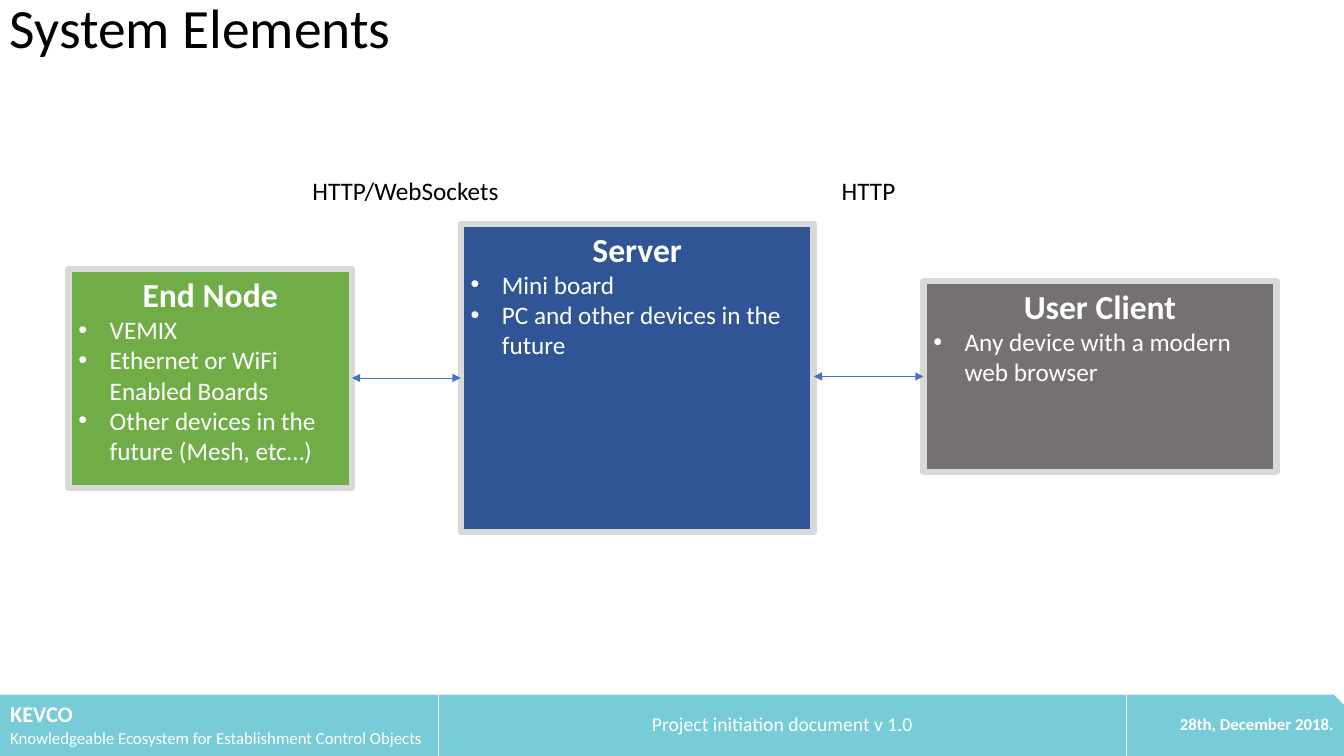
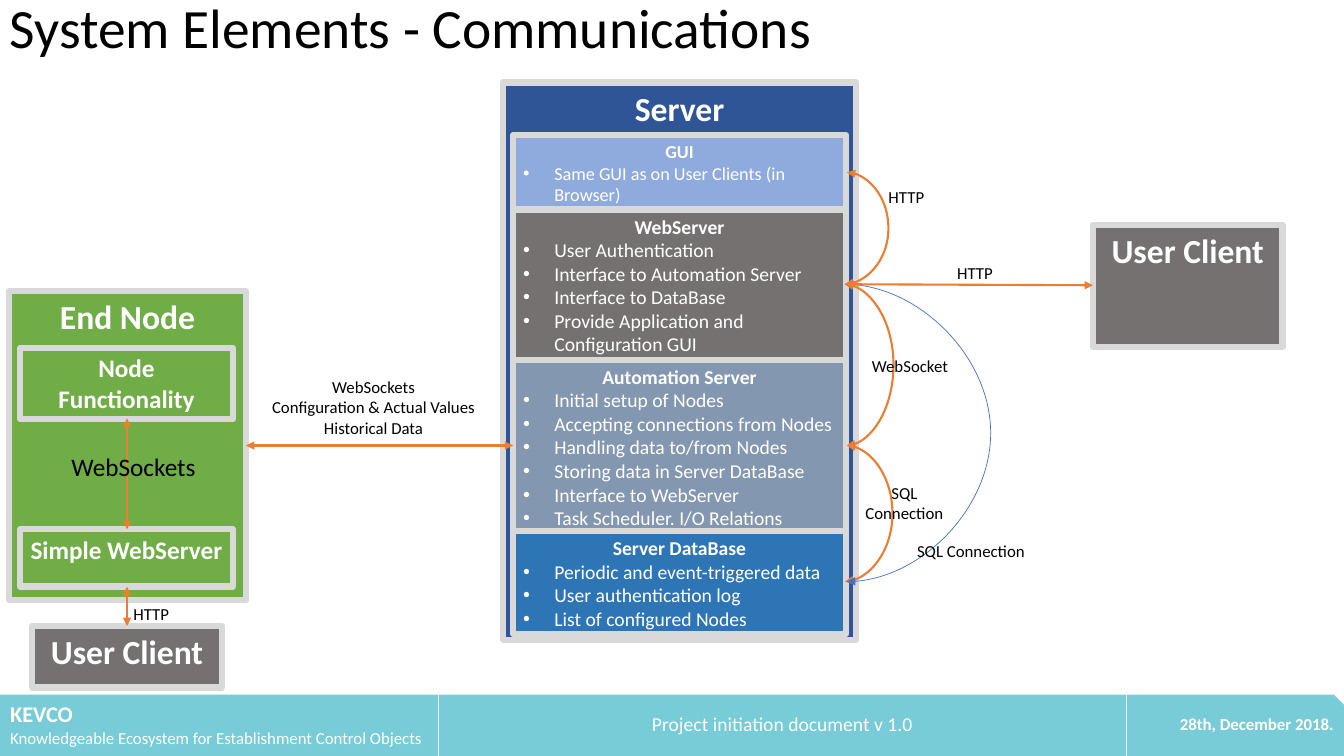
import pptx
import pptx.util
import pptx.dml.color
import pptx.enum.shapes
import pptx.enum.text
import pptx.oxml.ns
from lxml import etree

Inches = pptx.util.Inches
Pt = pptx.util.Pt
RGB = pptx.dml.color.RGBColor
Align = pptx.enum.text.PP_ALIGN
Anchor = pptx.enum.text.MSO_ANCHOR
Fit = pptx.enum.text.MSO_AUTO_SIZE
Shape = pptx.enum.shapes.MSO_SHAPE
Link = pptx.enum.shapes.MSO_CONNECTOR
qn = pptx.oxml.ns.qn

FONT = "Calibri"
WHITE = RGB(0xFF, 0xFF, 0xFF)
BLACK = RGB(0, 0, 0)
EDGE = RGB(0xD9, 0xD9, 0xD9)
TEAL = RGB(0x77, 0xCC, 0xD7)
GREEN = RGB(0x70, 0xAD, 0x47)
NAVY = RGB(0x2F, 0x55, 0x97)
GRAY = RGB(0x76, 0x71, 0x71)
SLATE = RGB(0x84, 0x97, 0xB0)
SKY = RGB(0x8F, 0xAA, 0xDC)
AZURE = RGB(0x2E, 0x75, 0xB6)
BLUE = RGB(0x44, 0x72, 0xC4)
ORANGE = RGB(0xED, 0x7D, 0x31)

WIDE, TALL, BAND = 13.33, 7.5, 0.61
FOOTER = [
    (4.35, Align.LEFT, [
        ("KEVCO", 16, True),
        ("Knowledgeable Ecosystem for Establishment Control Objects", 12, False)]),
    (6.82, Align.CENTER, [("Project initiation document v 1.0", 14, False)]),
    (2.16, Align.RIGHT, [("28th, December 2018.", 12, True)]),
]

PARTS = [
    (0.68, 2.67, 2.81, 2.17, GREEN, "End Node",
     ["VEMIX", "Ethernet or WiFi Enabled Boards", "Other devices in the future (Mesh, etc…)"]),
    (4.57, 2.22, 3.5, 3.06, NAVY, "Server",
     ["Mini board", "PC and other devices in the future"]),
    (9.16, 2.79, 3.5, 1.89, GRAY, "User Client",
     ["Any device with a modern web browser"]),
]
PART_TAGS = [(3, 1.69, 2.07, 0.4, "HTTP/WebSockets"), (8.25, 1.69, 0.74, 0.4, "HTTP")]

CLIENTS = [(10.84, 2.23, 1.88, 1.21), (0.32, 6.21, 1.88, 0.61)]
NODE = (0.09, 2.89, 2.35, 3.06)
NODE_PARTS = [(3.45, 0.71, "Node Functionality"), (5.25, 0.57, "Simple WebServer")]
SERVER = (4.99, 0.82, 3.5, 5.53)
STACK_X, STACK_Y, STACK_W = 5.09, 1.34, 3.3
STACK = [
    (0.74, SKY, 13, "GUI", ["Same GUI as on User Clients (in Browser)"]),
    (1.49, GRAY, 14, "WebServer", [
        "User Authentication", "Interface to Automation Server",
        "Interface to DataBase", "Provide Application and Configuration GUI"]),
    (1.7, SLATE, 14, "Automation Server", [
        "Initial setup of Nodes", "Accepting connections from Nodes",
        "Handling data to/from Nodes", "Storing data in Server DataBase",
        "Interface to WebServer", "Task Scheduler. I/O Relations"]),
    (1.02, AZURE, 14, "Server DataBase", [
        "Periodic and event-triggered data", "User authentication log",
        "List of configured Nodes"]),
]
GUI, WEB, AUTO, DATA = 1.71, 2.82, 4.42, 5.77
CURVES = [
    (WEB, GUI, 8.81, ORANGE, 1.5),
    (WEB, AUTO, 8.86, ORANGE, 1.5),
    (DATA, AUTO, 8.85, ORANGE, 1.5),
    (WEB, DATA, 9.82, BLUE, 0.5),
]
ARROWS = [(2.44, AUTO, 5.09, AUTO), (8.38, WEB, 10.84, 2.83), (1.26, 5.82, 1.26, 6.21)]
TAGS = [
    (2.59, 3.69, 2.23, 0.71, "WebSockets\nConfiguration & Actual Values\nHistorical Data"),
    (8.99, 5.32, 1.28, 0.3, "SQL Connection"),
    (8.48, 4.74, 0.98, 0.5, "SQL\nConnection"),
    (8.54, 3.48, 0.97, 0.3, "WebSocket"),
    (8.71, 1.8, 0.56, 0.3, "HTTP"),
    (9.39, 2.56, 0.56, 0.3, "HTTP"),
    (1.22, 5.94, 0.56, 0.3, "HTTP"),
]


def place(*nums):
    return [Inches(n) for n in nums]


def write(frame, lines):
    for i, (text, size, bold, color, align, dot) in enumerate(lines):
        para = frame.paragraphs[0] if i == 0 else frame.add_paragraph()
        para.text = text
        para.alignment = align
        font = para.font
        font.name, font.size, font.bold = FONT, Pt(size), bold
        font.color.rgb = color
        if dot:
            props = para._p.get_or_add_pPr()
            props.set("marL", str(Inches(0.31)))
            props.set("indent", str(-Inches(0.31)))
            face = etree.Element(qn("a:buFont"), typeface="Arial")
            mark = etree.Element(qn("a:buChar"), char="•")
            props.insert(0, face)
            props.insert(1, mark)


def box(shapes, area, fill, head, items=(), size=24):
    rect = shapes.add_shape(Shape.RECTANGLE, *place(*area))
    rect.shadow.inherit = False
    rect.fill.solid()
    rect.fill.fore_color.rgb = fill
    rect.line.color.rgb = EDGE
    rect.line.width = Pt(4.5)
    frame = rect.text_frame
    frame.word_wrap = True
    frame.vertical_anchor = Anchor.TOP
    lines = [(head, size, True, WHITE, Align.CENTER, False)]
    lines += [(item, min(size, 18), False, WHITE, Align.LEFT, True) for item in items]
    write(frame, lines)


def tag(shapes, x, y, w, h, text, size=12, align=Align.CENTER):
    frame = shapes.add_textbox(*place(x, y, w, h)).text_frame
    frame.word_wrap = False
    frame.auto_size = Fit.SHAPE_TO_FIT_TEXT
    write(frame, [(row, size, False, BLACK, align, False) for row in text.split("\n")])


def arrow(shapes, ends, color=ORANGE, width=1.5, kind=Link.STRAIGHT, bulge=None):
    link = shapes.add_connector(kind, *place(*ends))
    link.line.color.rgb = color
    link.line.width = Pt(width)
    props = link.element.spPr
    line = props.find(qn("a:ln"))
    for end in ("a:headEnd", "a:tailEnd"):
        etree.SubElement(line, qn(end), type="triangle")
    etree.SubElement(props, qn("a:effectLst"))
    if bulge:
        ratio = (bulge - ends[0]) / (ends[2] - ends[0])
        etree.SubElement(props.find(".//" + qn("a:avLst")), qn("a:gd"),
                         name="adj1", fmla=f"val {round(ratio * 100000)}")


def border(cell, sides):
    props = cell._tc.get_or_add_tcPr()
    for i, side in enumerate("LRTB"):
        line = etree.Element(qn("a:ln" + side), w=str(Pt(1)))
        if side in sides:
            fill = etree.SubElement(line, qn("a:solidFill"))
            etree.SubElement(fill, qn("a:srgbClr"), val=str(WHITE))
        else:
            etree.SubElement(line, qn("a:noFill"))
        props.insert(i, line)


def base(deck, title):
    shapes = deck.slides.add_slide(deck.slide_layouts[6]).shapes
    frame = shapes.add_textbox(*place(0, 0, WIDE, BAND)).text_frame
    frame.word_wrap = True
    frame.vertical_anchor = Anchor.MIDDLE
    write(frame, [(title, 39.6, False, BLACK, Align.LEFT, False)])
    frame.paragraphs[0].line_spacing = 0.9

    area = place(0, TALL - BAND, WIDE, BAND)
    band = shapes.add_shape(Shape.SNIP_1_RECTANGLE, *area)
    band.shadow.inherit = False
    band.fill.solid()
    band.fill.fore_color.rgb = TEAL
    band.line.fill.background()

    table = shapes.add_table(1, len(FOOTER), *area).table
    table.first_row = table.horz_banding = False
    for i, (width, align, lines) in enumerate(FOOTER):
        table.columns[i].width = Inches(width)
        cell = table.cell(0, i)
        cell.fill.background()
        cell.vertical_anchor = Anchor.MIDDLE
        border(cell, ("R", "LR", "L")[i])
        write(cell.text_frame,
              [(text, size, bold, WHITE, align, False) for text, size, bold in lines])
    return shapes


def parts(deck):
    shapes = base(deck, "System Elements")
    for *area, fill, head, items in PARTS:
        box(shapes, area, fill, head, items)
    for one, two in zip(PARTS, PARTS[1:]):
        y = two[1] + two[3] / 2
        arrow(shapes, (one[0] + one[2], y, two[0], y), BLUE, 0.5, Link.ELBOW)
    for spot in PART_TAGS:
        tag(shapes, *spot, 18, Align.LEFT)


def talks(deck):
    shapes = base(deck, "System Elements - Communications")
    for area in CLIENTS:
        box(shapes, area, GRAY, "User Client")

    node = shapes.add_group_shape().shapes
    box(node, NODE, GREEN, "End Node")
    for y, h, head in NODE_PARTS:
        box(node, (0.2, y, 2.11, h), GREEN, head, size=18)
    arrow(node, (1.26, 4.15, 1.26, 5.25))
    tag(node, 0.61, 4.43, 1.45, 0.4, "WebSockets", 18, Align.LEFT)

    server = shapes.add_group_shape().shapes
    box(server, SERVER, NAVY, "Server")
    y = STACK_Y
    for h, fill, size, head, items in STACK:
        box(server, (STACK_X, y, STACK_W, h), fill, head, items, size)
        y += h

    for start, stop, bulge, color, width in CURVES:
        arrow(shapes, (8.38, start, 8.4, stop), color, width, Link.CURVE, bulge)
    for ends in ARROWS:
        arrow(shapes, ends)
    for spot in TAGS:
        tag(shapes, *spot)


deck = pptx.Presentation()
deck.slide_width, deck.slide_height = place(WIDE, TALL)
parts(deck)
talks(deck)
deck.save("out.pptx")
